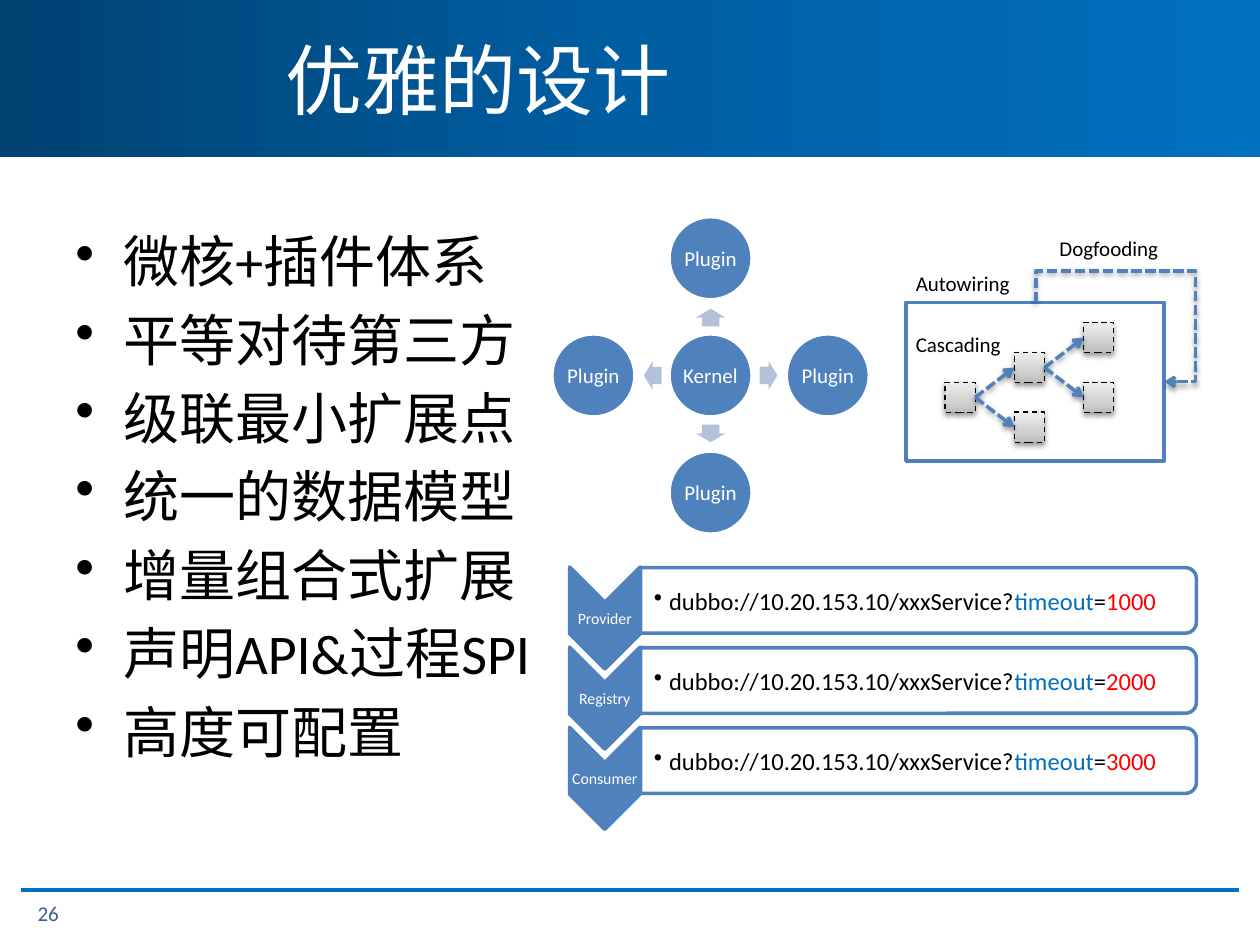
from dataclasses import dataclass
from typing import NamedTuple

from lxml.etree import SubElement
from pptx import Presentation
from pptx.dml.color import RGBColor
from pptx.enum.dml import MSO_LINE
from pptx.enum.shapes import MSO_CONNECTOR, MSO_SHAPE
from pptx.enum.text import MSO_ANCHOR, PP_ALIGN
from pptx.oxml import parse_xml
from pptx.oxml.ns import nsdecls, qn
from pptx.util import Inches, Pt


@dataclass(frozen=True)
class Theme:
    font: str = "Calibri"
    white: str = "FFFFFF"
    black: str = "000000"
    accent: str = "4F81BD"
    pale: str = "B3C1DB"
    rule: str = "0070C0"
    value: str = "FF0000"
    number: str = "376092"
    header: tuple = ((0, "004272"), (50, "005EA2"), (100, "0070C0"))
    node: tuple = ((0, "BDBDBD"), (35, "D1D1D1"), (100, "EEEEEE"))
    title_size: int = 44
    body_size: int = 32
    address_size: int = 14
    label_size: int = 12
    step_size: int = 9
    outline: float = 2


class Box(NamedTuple):
    """Left, top, width and height in grid cells."""
    left: float
    top: float
    width: float
    height: float


class Step(NamedTuple):
    name: str
    timeout: str


THEME = Theme()
COLUMNS, ROWS = 100, 75
CELL = Inches(10) / COLUMNS

presentation = Presentation()
presentation.slide_width = round(COLUMNS * CELL)
presentation.slide_height = round(ROWS * CELL)
slide = presentation.slides.add_slide(presentation.slide_layouts[6])
shapes = slide.shapes


def cells(*values: float) -> list:
    return [round(value * CELL) for value in values]


def centred(x: float, y: float, width: float, height: float) -> Box:
    return Box(x - width / 2, y - height / 2, width, height)


def set_gradient(shape, stops: tuple, angle: int) -> None:
    shape.fill.gradient()
    gradient = shape._element.spPr.find(qn("a:gradFill"))
    stop_list = "".join(
        f'<a:gs pos="{position * 1000}"><a:srgbClr val="{color}"/></a:gs>' for position, color in stops)
    gradient.getparent().replace(gradient, parse_xml(
        f'<a:gradFill {nsdecls("a")}><a:gsLst>{stop_list}</a:gsLst>'
        f'<a:lin ang="{angle * 60000}" scaled="0"/></a:gradFill>'))


def set_effects(shape, shadow: bool) -> None:
    effects = SubElement(shape._element.spPr, qn("a:effectLst"))
    if shadow:
        effects.append(parse_xml(
            f'<a:outerShdw {nsdecls("a")} blurRad="{Pt(3.1)}" dist="{Pt(1.6)}" dir="5400000" rotWithShape="0">'
            '<a:srgbClr val="000000"><a:alpha val="38000"/></a:srgbClr></a:outerShdw>'))


def set_line(line, color: str, width: float, dash=None) -> None:
    line.color.rgb = RGBColor.from_string(color)
    line.width = Pt(width)
    if dash:
        line.dash_style = dash


def add_figure(kind, box: Box, fill=None, stops=None, angle=0, line=None,
               width=THEME.outline, dash=None, rotation=0, shadow=False):
    shape = shapes.add_shape(kind, *cells(*box))
    shape.rotation = rotation
    if stops:
        set_gradient(shape, stops, angle)
    else:
        shape.fill.solid()
        shape.fill.fore_color.rgb = RGBColor.from_string(fill)
    if line:
        set_line(shape.line, line, width, dash)
    else:
        shape.line.fill.background()
    set_effects(shape, shadow)
    return shape


def write(shape, paragraphs: list, size: float, color=THEME.black, align=PP_ALIGN.LEFT,
          anchor=MSO_ANCHOR.MIDDLE, margins=(0.1, 0.05), wrap=True, bullet=0, before=0) -> None:
    """Each paragraph is a string or a list of (text, color) runs."""
    frame = shape.text_frame
    frame.word_wrap = wrap
    frame.vertical_anchor = anchor
    frame.margin_left = frame.margin_right = Inches(margins[0])
    frame.margin_top = frame.margin_bottom = Inches(margins[1])
    for index, content in enumerate(paragraphs):
        paragraph = frame.add_paragraph() if index else frame.paragraphs[0]
        paragraph.alignment = align
        if index and before:
            paragraph.space_before = Pt(before)
        if bullet:
            properties = paragraph._p.get_or_add_pPr()
            properties.set("marL", str(Inches(bullet)))
            properties.set("indent", str(-Inches(bullet)))
            SubElement(properties, qn("a:buChar")).set("char", "•")
        for text, run_color in [(content, color)] if isinstance(content, str) else content:
            run = paragraph.add_run()
            run.text = text
            run.font.name = THEME.font
            run.font.size = Pt(size)
            run.font.color.rgb = RGBColor.from_string(run_color)


def add_text(box: Box, paragraphs: list, size: float, **style) -> None:
    write(shapes.add_textbox(*cells(*box)), paragraphs, size, **style)


def add_arrow(kind, start, start_site: int, end, end_site: int):
    arrow = shapes.add_connector(kind, 0, 0, 0, 0)
    arrow.begin_connect(start, start_site)
    arrow.end_connect(end, end_site)
    set_line(arrow.line, THEME.accent, THEME.outline, MSO_LINE.SQUARE_DOT)
    arrow.line._get_or_add_ln().append(parse_xml(f'<a:tailEnd {nsdecls("a")} type="arrow"/>'))
    set_effects(arrow, shadow=True)
    return arrow


# Header, footer rule and page number
add_figure(MSO_SHAPE.RECTANGLE, Box(0, 0, COLUMNS, 12.5), stops=THEME.header)
footer = shapes.add_connector(MSO_CONNECTOR.STRAIGHT, *cells(1.7, 70.6, 98.3, 70.6))
set_line(footer.line, THEME.rule, 2.25)
set_effects(footer, shadow=False)
add_text(Box(21.7, 0, 78.3, 12.5), ["优雅的设计"], THEME.title_size, color=THEME.white)
add_text(Box(2, 70.5, 11, 4), ["26"], THEME.label_size, color=THEME.number)

# Design principles
add_text(Box(5, 17.5, 90, 49.5),
         ["微核+插件体系", "平等对待第三方", "级联最小扩展点", "统一的数据模型",
          "增量组合式扩展", "声明API&过程SPI", "高度可配置"],
         THEME.body_size, anchor=MSO_ANCHOR.TOP, bullet=0.38, before=6.4)

# Kernel with a plugin on each side
HUB_X, HUB_Y, DISC, PLUGIN_REACH, ARROW_REACH = 56.4, 29.8, 6.6, 9.3, 4.6


def add_disc(x: float, y: float, text: str) -> None:
    disc = add_figure(MSO_SHAPE.OVAL, centred(x, y, DISC, DISC), THEME.accent, line=THEME.white)
    write(disc, [text], THEME.label_size, color=THEME.white, align=PP_ALIGN.CENTER, margins=(0, 0), wrap=False)


add_disc(HUB_X, HUB_Y, "Kernel")
for turn, (across, down) in enumerate([(1, 0), (0, 1), (-1, 0), (0, -1)]):
    pointer = add_figure(
        MSO_SHAPE.RIGHT_ARROW,
        centred(HUB_X + across * ARROW_REACH, HUB_Y + down * ARROW_REACH, 1.4, 2.3),
        THEME.pale, rotation=turn * 90)
    pointer.adjustments[0] = 0.6
    add_disc(HUB_X + across * PLUGIN_REACH, HUB_Y + down * PLUGIN_REACH, "Plugin")

# Cascading extension points inside their frame
TOP, LEFT, RIGHT = 0, 1, 3
frame_box = add_figure(MSO_SHAPE.RECTANGLE, Box(71.9, 24, 20.5, 12.6), THEME.white, line=THEME.accent)
root, upper, lower, upper_leaf, lower_leaf = [
    add_figure(MSO_SHAPE.RECTANGLE, Box(75 + column * 5.5, 25.6 + row * 2.37, 2.4, 2.4),
               stops=THEME.node, angle=270, line=THEME.black, width=0.75, dash=MSO_LINE.DASH, shadow=True)
    for column, row in [(0, 2), (1, 1), (1, 3), (2, 0), (2, 2)]]
for parent, child in [(root, upper), (root, lower), (upper, upper_leaf), (upper, lower_leaf)]:
    add_arrow(MSO_CONNECTOR.STRAIGHT, parent, RIGHT, child, LEFT)

# Loop from the top of the frame back to its right side
loop = add_arrow(MSO_CONNECTOR.ELBOW, frame_box, TOP, frame_box, RIGHT)
loop.left, loop.top, loop.width, loop.height = cells(84.15, 22.05, 6.3, 10.2)
transform = loop._element.spPr.find(qn("a:xfrm"))
transform.attrib.clear()
transform.set("rot", str(270 * 60000))
transform.set("flipH", "1")
geometry = loop._element.spPr.find(qn("a:prstGeom"))
geometry.getparent().replace(geometry, parse_xml(
    f'<a:prstGeom {nsdecls("a")} prst="bentConnector4"><a:avLst><a:gd name="adj1" fmla="val -39700"/>'
    '<a:gd name="adj2" fmla="val 124400"/></a:avLst></a:prstGeom>'))
for label, x, y in [("Autowiring", 71.7, 21), ("Cascading", 71.7, 25.8), ("Dogfooding", 83.1, 18.2)]:
    add_text(Box(x, y, 11, 3), [label], THEME.label_size, anchor=MSO_ANCHOR.TOP, wrap=False)

# Settings passed from provider to consumer
STEP_PITCH = 6.36
for index, step in enumerate([Step("Provider", "1000"), Step("Registry", "2000"), Step("Consumer", "3000")]):
    middle = 47.65 + index * STEP_PITCH
    add_figure(MSO_SHAPE.CHEVRON, centred(48, middle + 1.4, 8.1, 5.6),
               THEME.accent, line=THEME.accent, rotation=90)
    add_text(centred(48, middle + 1.4, 5.6, 2.4), [step.name], THEME.step_size, color=THEME.white,
             align=PP_ALIGN.CENTER, margins=(0, 0), wrap=False)
    add_figure(MSO_SHAPE.ROUND_2_SAME_RECTANGLE, centred(72.9, middle, 5.2, 44.1),
               THEME.white, line=THEME.accent, rotation=90)
    address = [("dubbo://10.20.153.10/xxxService?", THEME.black), ("timeout", THEME.rule),
               ("=", THEME.black), (step.timeout, THEME.value)]
    add_text(Box(50.8, middle - 2.35, 43.9, 4.7), [address], THEME.address_size,
             margins=(0.11, 0.01), bullet=0.12)

presentation.save("out.pptx")
